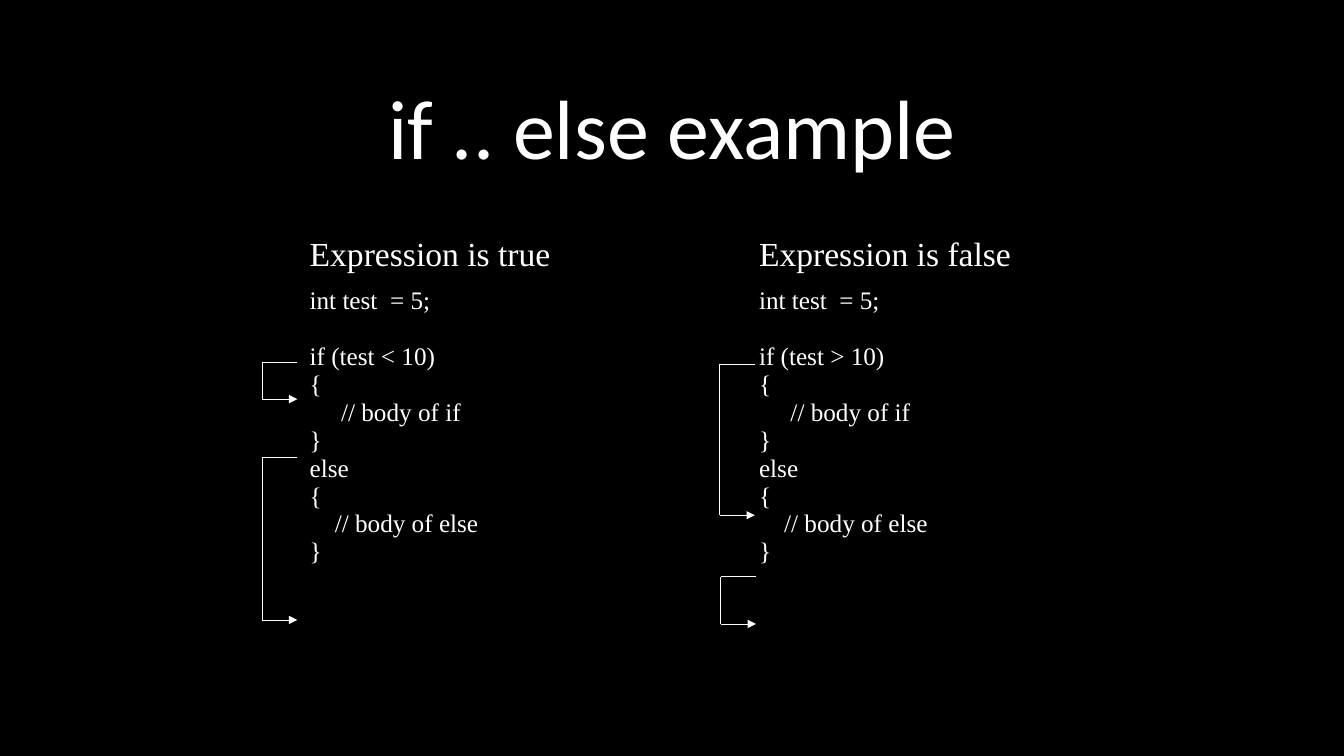
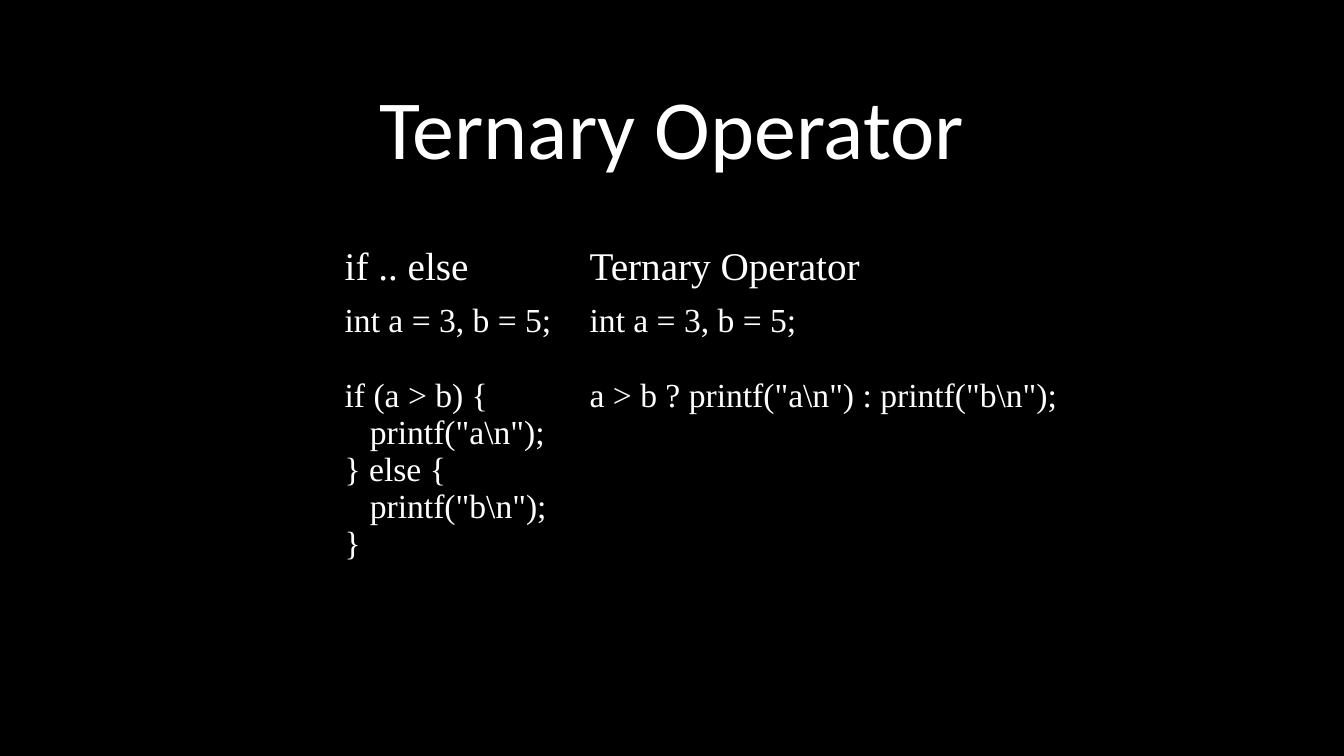
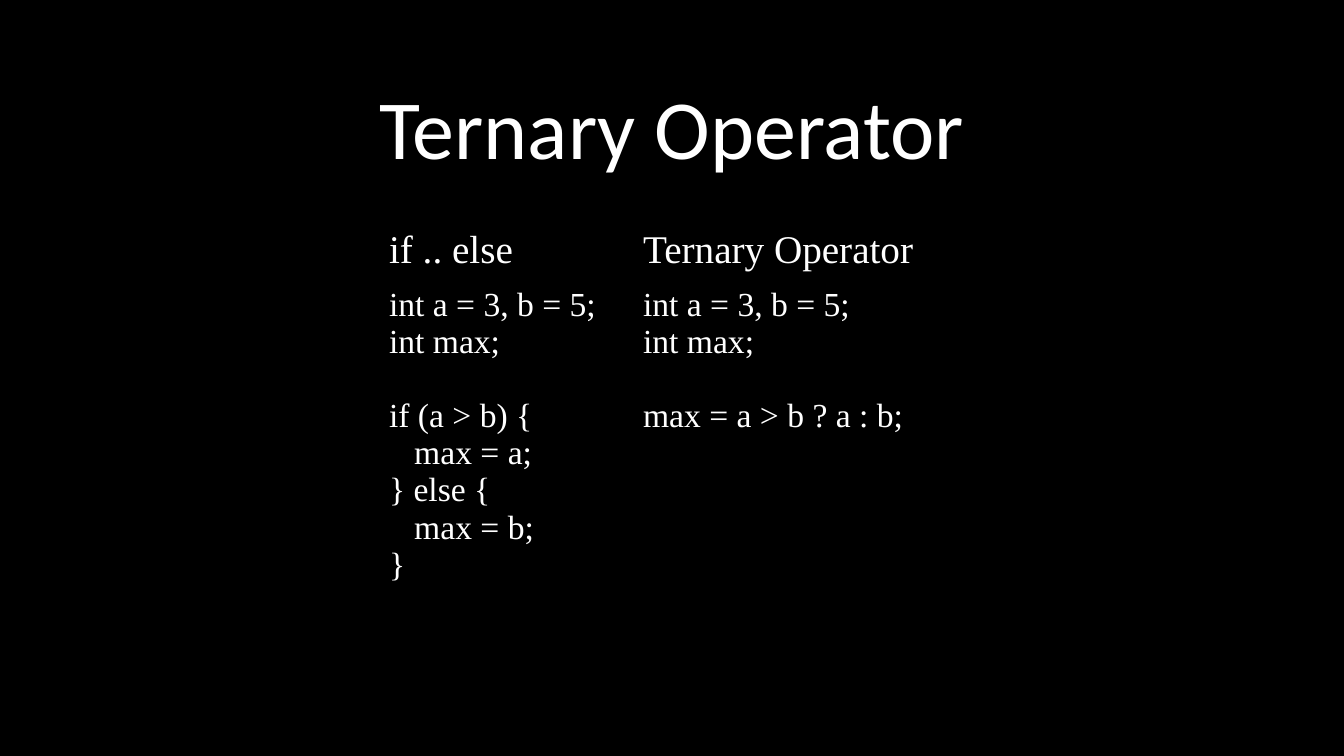
"""Three slides on if .. else and the ternary operator."""
from lxml.etree import SubElement as Sub
from pptx import Presentation
from pptx.dml.color import RGBColor as Rgb
from pptx.enum.shapes import MSO_CONNECTOR as Conn
from pptx.enum.text import MSO_ANCHOR as Anchor, PP_ALIGN as Align
from pptx.oxml.ns import qn
from pptx.util import Pt

HUES = {"back": "000000", "ink": "FFFFFF"}
INK = Rgb.from_string(HUES["ink"])
HEAD, BODY = "Calibri", "Times New Roman"
PLAIN = "{2D5ABB26-0587-4C30-8999-92F81FD0307C}"
LINE = 1.107

BRANCH = """int test  = 5;

if (test {} 10)
{{
     // body of if
}}
else
{{
    // body of else
}}"""
PRINT = r"""int a = 3, b = 5;

if (a > b) {
   printf("a\n");
} else {
   printf("b\n");
}"""
SHORT = r"""int a = 3, b = 5;

a > b ? printf("a\n") : printf("b\n");"""
MAX = """int a = 3, b = 5;
int max;

if (a > b) {
   max = a;
} else {
   max = b;
}"""
BRIEF = """int a = 3, b = 5;
int max;

max = a > b ? a : b;"""

PAIR = ("if .. else", "Ternary Operator")
PAGES = [
    {"title": "if .. else example", "at": (214, 165.6), "cols": (321, 321), "high": 259,
     "sizes": (24, 18), "heads": ("Expression is true", "Expression is false"),
     "code": (BRANCH.format("<"), BRANCH.format(">")),
     "hooks": [(187.2, 258.5, 285.1), (187.2, 326.9, 442.8),
               (514, 260, 368), (514.8, 411.8, 445.7)]},
    {"title": "Ternary Operator", "at": (239, 172), "cols": (175, 358.6), "high": 250,
     "sizes": (28, 24), "heads": PAIR, "code": (PRINT, SHORT), "hooks": []},
    {"title": "Ternary Operator", "at": (270.7, 160), "cols": (181.5, 250), "high": 278.6,
     "sizes": (28, 24), "heads": PAIR, "code": (MAX, BRIEF), "hooks": []},
]
REACH = 25.2


def style(para, face, size):
    para.font.name = face
    para.font.size = Pt(size)
    para.font.bold = False
    para.font.color.rgb = INK


def fill_cell(cell, text, size):
    cell.fill.background()
    frame = cell.text_frame
    para, gap = frame.paragraphs[0], False
    for num, line in enumerate(text.split("\n")):
        if not line:
            gap = True
            continue
        if num:
            para = frame.add_paragraph()
        para.text = line
        style(para, BODY, size)
        if gap:
            para.space_before = Pt(round(size * LINE, 1))
            gap = False


deck = Presentation()
deck.slide_width, deck.slide_height = Pt(960), Pt(540)
back = deck.slide_master.background.fill
back.solid()
back.fore_color.rgb = Rgb.from_string(HUES["back"])

for page in PAGES:
    slide = deck.slides.add_slide(deck.slide_layouts[6])
    shapes = slide.shapes

    frame = shapes.add_textbox(Pt(125), Pt(39), Pt(710), Pt(91.4)).text_frame
    frame.word_wrap = True
    frame.vertical_anchor = Anchor.BOTTOM
    title = frame.paragraphs[0]
    title.text = page["title"]
    title.alignment = Align.CENTER
    title.line_spacing = 0.9
    style(title, HEAD, 60)

    left, top = page["at"]
    high, sizes = page["high"], page["sizes"]
    table = shapes.add_table(2, 2, Pt(left), Pt(top), Pt(sum(page["cols"])), Pt(high)).table
    table.first_row = table.horz_banding = False
    table._tbl.tblPr.find(qn("a:tableStyleId")).text = PLAIN
    first = round(sizes[0] * LINE + 7.2, 1)
    table.rows[0].height, table.rows[1].height = Pt(first), Pt(high - first)
    for col, wide in enumerate(page["cols"]):
        table.columns[col].width = Pt(wide)
        for row, part in enumerate(("heads", "code")):
            fill_cell(table.cell(row, col), page[part][col], sizes[row])

    for near, start, end in page["hooks"]:
        far = near + REACH
        path = [(far, start), (near, start), (near, end), (far, end)]
        for a, b in zip(path, path[1:]):
            wire = shapes.add_connector(Conn.STRAIGHT, *map(Pt, a + b))
            wire.line.color.rgb = INK
            wire.line.width = Pt(0.5)
            Sub(wire._element.spPr, qn("a:effectLst"))
        Sub(wire.line._get_or_add_ln(), qn("a:tailEnd"), type="triangle")

deck.save("out.pptx")
